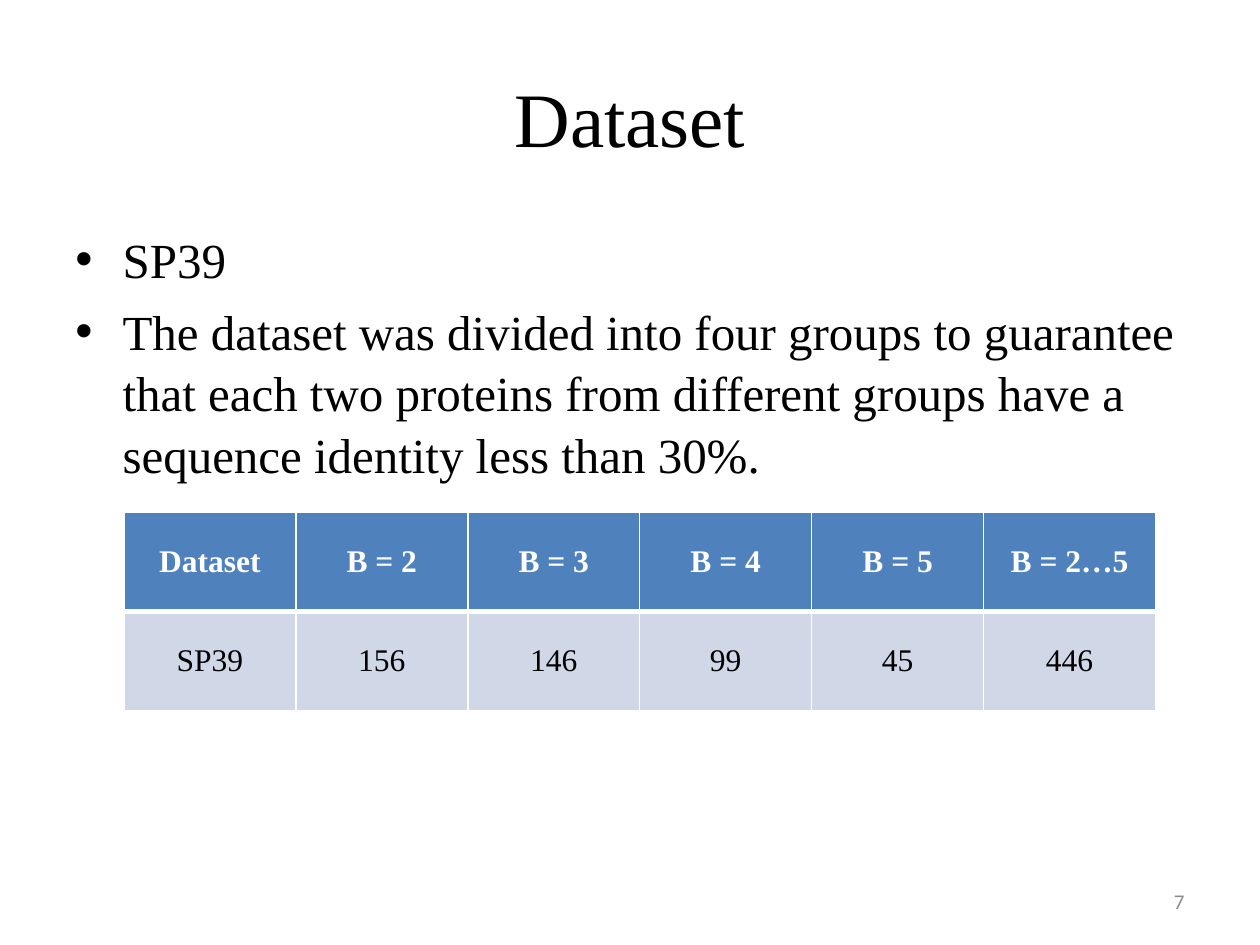
from lxml import etree
from pptx import Presentation
from pptx.dml.color import RGBColor
from pptx.enum.text import MSO_ANCHOR, PP_ALIGN
from pptx.oxml.ns import qn
from pptx.util import Pt

TITLE = "Dataset"
BULLETS = [
    "SP39",
    "The dataset was divided into four groups to guarantee that each two proteins "
    "from different groups have a sequence identity less than 30%.",
]
TABLE_ROWS = [
    ["Dataset", "B = 2", "B = 3", "B = 4", "B = 5", "B = 2…5"],
    ["SP39", "156", "146", "99", "45", "446"],
]
PAGE_NUMBER = "7"

SERIF = "Times New Roman"
SANS = "Calibri"
BLACK = RGBColor(0x00, 0x00, 0x00)
WHITE = RGBColor(0xFF, 0xFF, 0xFF)
GRAY = RGBColor(0x8C, 0x8C, 0x8C)
HEADER_BLUE = RGBColor(0x4F, 0x81, 0xBD)
ROW_BLUE = RGBColor(0xD0, 0xD8, 0xE8)
LEFT, CENTER, RIGHT = PP_ALIGN.LEFT, PP_ALIGN.CENTER, PP_ALIGN.RIGHT
TOP, MIDDLE = MSO_ANCHOR.TOP, MSO_ANCHOR.MIDDLE

MARGIN = 36
CONTENT_WIDTH = 648
TABLE_LEFT, TABLE_TOP = 70.8, 292.6
COLUMN_WIDTH, ROW_HEIGHT = 98.25, 56.7
HEADER_RULE, THIN_RULE = 3, 1


def style_paragraph(paragraph, size, color, align, font=SERIF, bold=False):
    paragraph.alignment = align
    for span in paragraph.runs:
        span.font.name = font
        span.font.size = Pt(size)
        span.font.bold = bold
        span.font.color.rgb = color


def add_text(page, bounds, lines, size, color, align, anchor, font=SERIF):
    box = page.shapes.add_textbox(*(Pt(length) for length in bounds))
    frame = box.text_frame
    frame.word_wrap = True
    frame.vertical_anchor = anchor
    frame.text = "\n".join(lines)
    for paragraph in frame.paragraphs:
        style_paragraph(paragraph, size, color, align, font)
    return frame


def add_bullets(frame):
    for index, paragraph in enumerate(frame.paragraphs):
        properties = paragraph._p.get_or_add_pPr()
        properties.set("marL", str(Pt(27)))
        properties.set("indent", str(Pt(-27)))
        etree.SubElement(properties, qn("a:buFont"), typeface="Arial")
        etree.SubElement(properties, qn("a:buChar"), char="•")
        paragraph.line_spacing = 1.05
        if index:
            paragraph.space_before = Pt(5.6)


def set_borders(cell, widths):
    properties = cell._tc.get_or_add_tcPr()
    for position, (side, width) in enumerate(widths.items()):
        line = etree.Element(qn(f"a:ln{side}"), w=str(Pt(width)))
        fill = etree.SubElement(line, qn("a:solidFill"))
        etree.SubElement(fill, qn("a:srgbClr"), val=str(WHITE))
        properties.insert(position, line)


def add_dataset_table(page):
    row_count, column_count = len(TABLE_ROWS), len(TABLE_ROWS[0])
    table = page.shapes.add_table(
        row_count, column_count, Pt(TABLE_LEFT), Pt(TABLE_TOP),
        Pt(COLUMN_WIDTH * column_count), Pt(ROW_HEIGHT * row_count),
    ).table
    for column in table.columns:
        column.width = Pt(COLUMN_WIDTH)
    for row_index, values in enumerate(TABLE_ROWS):
        header = row_index == 0
        table.rows[row_index].height = Pt(ROW_HEIGHT)
        top = THIN_RULE if header else HEADER_RULE
        bottom = HEADER_RULE if header else THIN_RULE
        for column_index, value in enumerate(values):
            cell = table.cell(row_index, column_index)
            cell.text = value
            cell.vertical_anchor = MIDDLE
            cell.fill.solid()
            cell.fill.fore_color.rgb = HEADER_BLUE if header else ROW_BLUE
            style_paragraph(cell.text_frame.paragraphs[0], 18,
                            WHITE if header else BLACK, CENTER, bold=header)
            set_borders(cell, {"L": THIN_RULE, "R": THIN_RULE, "T": top, "B": bottom})


def main():
    deck = Presentation()
    deck.slide_width, deck.slide_height = Pt(720), Pt(540)
    page = deck.slides.add_slide(deck.slide_layouts[6])
    add_text(page, (MARGIN, 21.6, CONTENT_WIDTH, 90), [TITLE], 44, BLACK, CENTER, MIDDLE)
    body = add_text(page, (MARGIN, 126, CONTENT_WIDTH, 356.4), BULLETS, 28, BLACK, LEFT, TOP)
    add_bullets(body)
    add_text(page, (516, 500.5, 168, 28.75), [PAGE_NUMBER], 12, GRAY, RIGHT, MIDDLE, SANS)
    add_dataset_table(page)
    deck.save("out.pptx")


if __name__ == "__main__":
    main()
